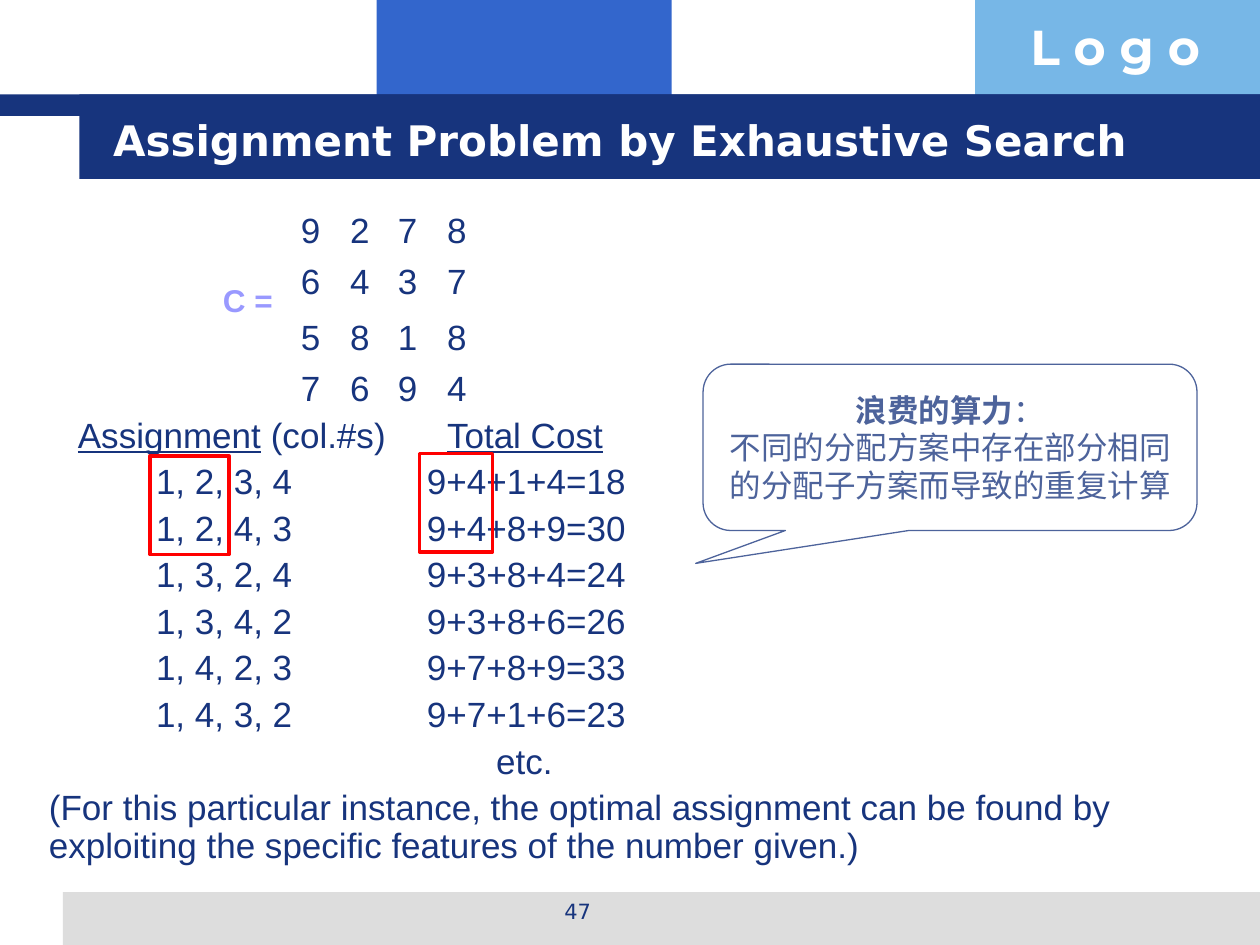
from typing import NamedTuple

from lxml.etree import SubElement
from pptx import Presentation
from pptx.dml.color import RGBColor
from pptx.enum.shapes import MSO_SHAPE
from pptx.enum.text import MSO_ANCHOR, PP_ALIGN
from pptx.oxml.ns import qn
from pptx.util import Inches, Pt

NAVY, WHITE, SLATE, RED = "17347D", "FFFFFF", "4D639B", "FF0000"


class Box(NamedTuple):
    left: float
    top: float
    width: float
    height: float


class Run(NamedTuple):
    text: str
    size: float = 20
    bold: bool = False
    underline: bool = False


class Line(NamedTuple):
    runs: list[Run]
    tabs: tuple[float, ...] = ()
    before: float = 5


def color(value: str) -> RGBColor:
    return RGBColor.from_string(value)


def add_box(s, box: Box, fill: str | None = None, line: str | None = None,
            weight: float = 1, kind=MSO_SHAPE.RECTANGLE):
    sp = s.shapes.add_shape(kind, *map(Inches, box))
    sp.shadow.inherit = False
    if fill:
        sp.fill.solid()
        sp.fill.fore_color.rgb = color(fill)
    else:
        sp.fill.background()
    if line:
        sp.line.color.rgb = color(line)
        sp.line.width = Pt(weight)
    else:
        sp.line.fill.background()
    return sp


def write(sp, lines: list[Line], *, font="Arial", ink=NAVY, align=PP_ALIGN.LEFT,
          anchor=MSO_ANCHOR.TOP, spacing: float | None = None) -> None:
    tf = sp.text_frame
    tf.word_wrap = True
    tf.vertical_anchor = anchor
    for i, line in enumerate(lines):
        p = tf.paragraphs[0] if i == 0 else tf.add_paragraph()
        p.alignment = align
        if line.tabs:
            stops = SubElement(p._p.get_or_add_pPr(), qn("a:tabLst"))
            for stop in line.tabs:
                SubElement(stops, qn("a:tab"), pos=str(Inches(stop)), algn="l")
        if spacing:
            p.line_spacing = spacing
        p.space_before = Pt(line.before if i else 0)
        for run in line.runs:
            r = p.add_run()
            r.text = run.text
            r.font.name = font
            r.font.size = Pt(run.size)
            r.font.bold = run.bold
            r.font.underline = run.underline
            r.font.color.rgb = color(ink)


def add_text(s, box: Box, lines: list[Line], **fmt) -> None:
    write(s.shapes.add_textbox(*map(Inches, box)), lines, **fmt)


def body_lines() -> list[Line]:
    matrix_tabs = (2.0, 2.39, 2.77, 3.16)
    matrix = [
        ("9278", 32, 0),
        ("6437", 20, 5),
        ("5818", 32, 0),
        ("7694", 20, 5),
    ]
    costs = [
        ("1, 2, 3, 4", "9+4+1+4=18"),
        ("1, 2, 4, 3", "9+4+8+9=30"),
        ("1, 3, 2, 4", "9+3+8+4=24"),
        ("1, 3, 4, 2", "9+3+8+6=26"),
        ("1, 4, 2, 3", "9+7+8+9=33"),
        ("1, 4, 3, 2", "9+7+1+6=23"),
    ]
    lines = [Line([Run("\t", size), Run("\t".join(row))], matrix_tabs, before)
             for row, size, before in matrix]
    lines.append(Line([Run("\t"), Run("Assignment", underline=True), Run(" (col.#s)\t"),
                       Run("Total Cost", underline=True)], (0.23, 3.16)))
    lines += [Line([Run(f"\t{columns}\t{cost}")], (0.85, 3.0)) for columns, cost in costs]
    lines.append(Line([Run("\tetc.")], (3.55,)))
    lines.append(Line([Run("(For this particular instance, the optimal assignment can be found by "
                           "exploiting the specific features of the number given.)")]))
    return lines


def main() -> None:
    prs = Presentation()
    prs.slide_width, prs.slide_height = Inches(10), Inches(7.5)
    s = prs.slides.add_slide(prs.slide_layouts[6])

    for box, fill in [
        (Box(2.99, 0, 2.34, 0.92), "3366CC"),
        (Box(7.74, 0, 2.26, 0.92), "77B7E7"),
        (Box(0.5, 7.08, 9.5, 0.42), "DDDDDD"),
        (Box(0, 0.75, 10, 0.17), NAVY),
        (Box(0.63, 0.75, 9.37, 0.67), NAVY),
    ]:
        add_box(s, box, fill)

    add_text(s, Box(8.08, 0.08, 1.93, 0.57), [Line([Run("L o g o", 28, True)])],
             font="Montserrat", ink=WHITE)
    add_text(s, Box(0.29, 1.5, 9.04, 5.58), body_lines(), spacing=0.9)
    add_text(s, Box(0.8, 0.8, 8.53, 0.62),
             [Line([Run("Assignment Problem by Exhaustive Search", 24, True)])],
             font="DejaVu Sans", ink=WHITE, anchor=MSO_ANCHOR.MIDDLE)
    add_text(s, Box(1.67, 2.18, 0.75, 0.4), [Line([Run("C =", 18, True)])], ink="9999FF")
    add_text(s, Box(3.42, 7.08, 2.33, 0.35), [Line([Run("47", 12)])],
             font="DejaVu Sans", align=PP_ALIGN.CENTER)

    callout = add_box(s, Box(5.58, 2.89, 3.92, 1.32), line=SLATE, weight=0.75,
                      kind=MSO_SHAPE.ROUNDED_RECTANGULAR_CALLOUT)
    for i, value in enumerate((-0.515, 0.698, 0.167)):
        callout.adjustments[i] = value
    write(callout, [
        Line([Run("浪费的算力", 18, True), Run("：", 18)]),
        Line([Run("不同的分配方案中存在部分相同的分配子方案而导致的重复计算", 18)], before=0),
    ], ink=SLATE, align=PP_ALIGN.CENTER, anchor=MSO_ANCHOR.MIDDLE)

    for box in (Box(1.19, 3.62, 0.63, 0.78), Box(3.33, 3.6, 0.58, 0.78)):
        add_box(s, box, line=RED, weight=2)

    prs.save("out.pptx")


if __name__ == "__main__":
    main()
